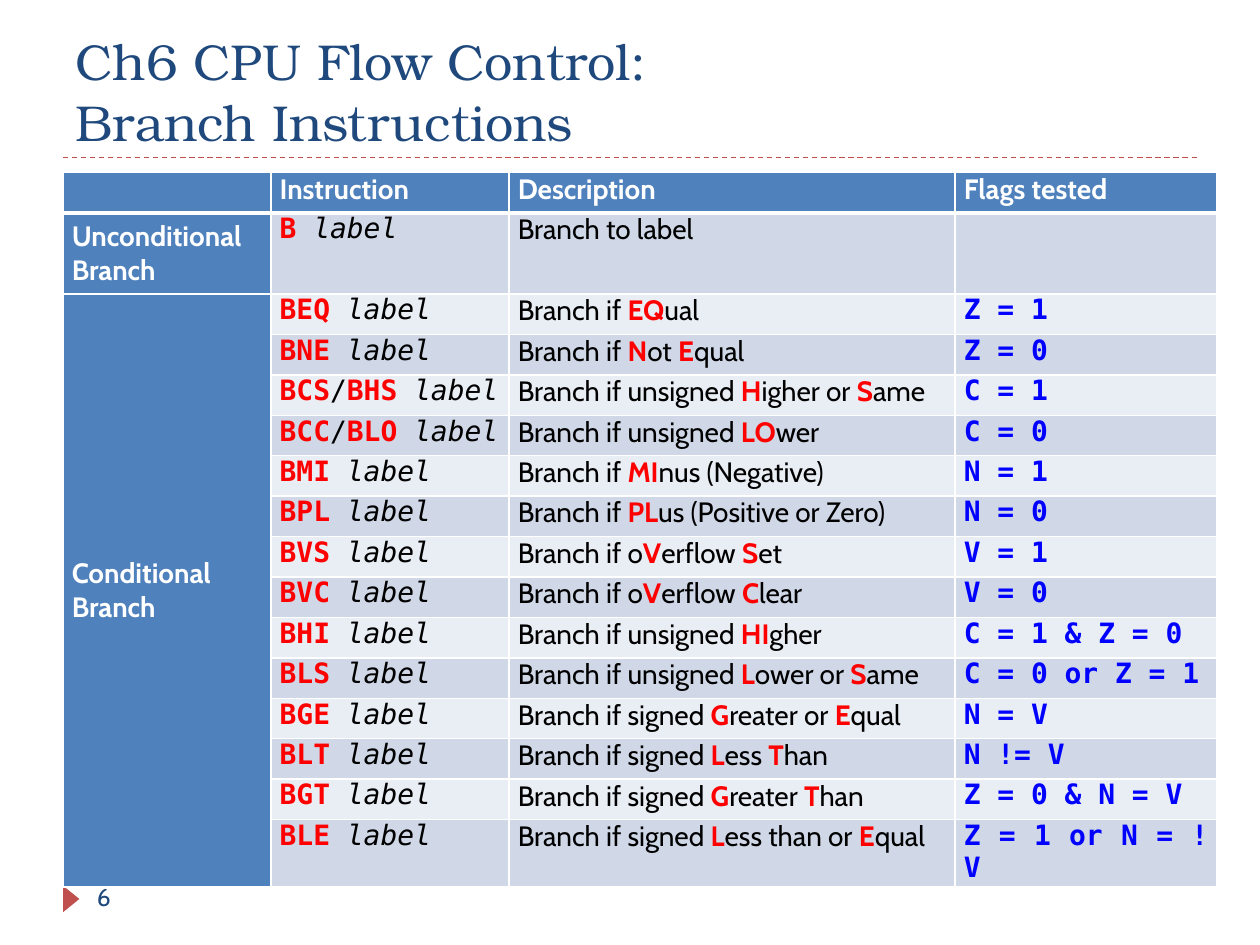
from dataclasses import dataclass

from lxml.etree import SubElement
from pptx import Presentation
from pptx.dml.color import RGBColor
from pptx.enum.dml import MSO_LINE
from pptx.enum.shapes import MSO_CONNECTOR, MSO_SHAPE
from pptx.enum.text import MSO_ANCHOR, MSO_AUTO_SIZE, PP_ALIGN
from pptx.oxml import parse_xml
from pptx.oxml.ns import nsdecls, qn
from pptx.util import Inches, Pt


@dataclass(frozen=True)
class Theme:
    navy: str = "1F497D"
    blue: str = "4F81BD"
    brick: str = "C0504D"
    white: str = "FFFFFF"
    black: str = "000000"
    red: str = "FF0000"
    flag_blue: str = "0000FF"
    bands: tuple = ("D0D8E8", "E9EDF4")
    title_font: str = "TeX Gyre Bonum"
    body_font: str = "Cabin"
    code_font: str = "DejaVu Sans Mono"
    title_size: float = 28.8
    body_size: float = 16
    number_size: float = 14


THEME = Theme()
SLIDE_WIDTH, SLIDE_HEIGHT = 10, 7.5
MARGIN = SLIDE_WIDTH / 20
CONTENT_WIDTH = SLIDE_WIDTH - 2 * MARGIN
FOOTER_TOP = 6.95

HEADINGS = ("", "Instruction", "Description", "Flags tested")
COLUMN_WIDTHS = (1.65, 1.89, 3.54, 2.08)
ROW_UNITS = (1, 2) + (1,) * 14

# Mnemonics, description with *accented* letters, flags tested
BRANCHES = (
    ("B", "Branch to label", ""),
    ("BEQ", "Branch if *EQ*ual", "Z = 1"),
    ("BNE", "Branch if *N*ot *E*qual", "Z = 0"),
    ("BCS/BHS", "Branch if unsigned *H*igher or *S*ame", "C = 1"),
    ("BCC/BLO", "Branch if unsigned *LO*wer", "C = 0"),
    ("BMI", "Branch if *MI*nus (Negative)", "N = 1"),
    ("BPL", "Branch if *PL*us (Positive or Zero)", "N = 0"),
    ("BVS", "Branch if o*V*erflow *S*et", "V = 1"),
    ("BVC", "Branch if o*V*erflow *C*lear", "V = 0"),
    ("BHI", "Branch if unsigned *HI*gher", "C = 1 & Z = 0"),
    ("BLS", "Branch if unsigned *L*ower or *S*ame", "C = 0 or Z = 1"),
    ("BGE", "Branch if signed *G*reater or *E*qual", "N = V"),
    ("BLT", "Branch if signed *L*ess *T*han", "N != V"),
    ("BGT", "Branch if signed *G*reater *T*han", "Z = 0 & N = V"),
    ("BLE", "Branch if signed *L*ess than or *E*qual", "Z = 1 or N = !V"),
)


def write(paragraph, text, *, font=THEME.body_font, size=THEME.body_size,
          color=THEME.black, bold=False, italic=False):
    """Append formatted text, turning each newline into a line break."""
    for index, line in enumerate(text.split("\n")):
        if index:
            paragraph.add_line_break()
        run = paragraph.add_run()
        run.text = line
        run.font.name = font
        run.font.size = Pt(size)
        run.font.bold = bold
        run.font.italic = italic
        run.font.color.rgb = RGBColor.from_string(color)


def place(shape, box):
    shape.left, shape.top, shape.width, shape.height = map(Inches, box)


def add_title(slide, box, text):
    title = slide.shapes.title
    place(title, box)
    frame = title.text_frame
    frame.word_wrap = True
    frame.auto_size = MSO_AUTO_SIZE.NONE
    frame.vertical_anchor = MSO_ANCHOR.BOTTOM
    frame.paragraphs[0].alignment = PP_ALIGN.LEFT
    write(frame.paragraphs[0], text, font=THEME.title_font,
          size=THEME.title_size, color=THEME.navy)


def add_rule(slide, left, top, width):
    rule = slide.shapes.add_connector(
        MSO_CONNECTOR.STRAIGHT, *map(Inches, (left, top, left + width, top)))
    rule.line.color.rgb = RGBColor.from_string(THEME.brick)
    rule.line.width = Pt(0.75)
    rule.line.dash_style = MSO_LINE.DASH
    SubElement(rule.element.spPr, qn("a:effectLst"))


def add_footer(slide, box, number):
    left, top, width, height = box
    # Marker pointing at the slide number
    marker = slide.shapes.add_shape(
        MSO_SHAPE.ISOSCELES_TRIANGLE,
        *map(Inches, (left - 0.04, top + 0.12, 0.21, 0.13)))
    marker.rotation = 90
    marker.shadow.inherit = False
    marker.fill.solid()
    marker.fill.fore_color.rgb = RGBColor.from_string(THEME.brick)
    marker.line.fill.background()
    # Slide number
    label = slide.shapes.add_textbox(
        *map(Inches, (left + 0.17, top, width - 0.17, height)))
    label.text_frame.word_wrap = True
    write(label.text_frame.paragraphs[0], number,
          size=THEME.number_size, color=THEME.navy)


def style_cell(cell, fill, *, top=1, bottom=1):
    cell.margin_left = cell.margin_right = Inches(0.07)
    cell.margin_top = cell.margin_bottom = 0
    cell.fill.solid()
    cell.fill.fore_color.rgb = RGBColor.from_string(fill)
    borders = (("lnL", 1), ("lnR", 1), ("lnT", top), ("lnB", bottom))
    for index, (side, points) in enumerate(borders):
        border = parse_xml(
            f'<a:{side} {nsdecls("a")} w="{Pt(points)}"><a:solidFill>'
            f'<a:srgbClr val="{THEME.white}"/></a:solidFill></a:{side}>')
        cell._tc.get_or_add_tcPr().insert(index, border)
    paragraph = cell.text_frame.paragraphs[0]
    paragraph.alignment = PP_ALIGN.JUSTIFY
    paragraph.font.size = Pt(THEME.body_size)
    return paragraph


def write_instruction(paragraph, mnemonics):
    code = {"font": THEME.code_font}
    for index, mnemonic in enumerate(mnemonics.split("/")):
        if index:
            write(paragraph, "/", **code)
        write(paragraph, mnemonic, color=THEME.red, bold=True, **code)
    write(paragraph, " label", italic=True, **code)


def write_description(paragraph, marked_text):
    for index, part in enumerate(marked_text.split("*")):
        accented = index % 2 == 1
        if part:
            write(paragraph, part, bold=accented,
                  color=THEME.red if accented else THEME.black)


def add_branch_table(slide, box):
    frame = slide.shapes.add_table(
        len(ROW_UNITS), len(COLUMN_WIDTHS), *map(Inches, box))
    table = frame.table
    table.horz_banding = False
    for column, width in zip(table.columns, COLUMN_WIDTHS):
        column.width = Inches(width)
    for row, units in zip(table.rows, ROW_UNITS):
        row.height = Inches(box[3] * units / sum(ROW_UNITS))

    # Heading row
    heading = {"color": THEME.white, "bold": True}
    for column, text in enumerate(HEADINGS):
        paragraph = style_cell(table.cell(0, column), THEME.blue, bottom=3)
        if text:
            write(paragraph, text, **heading)

    # Branch rows
    for row, (mnemonics, description, flags) in enumerate(BRANCHES, 1):
        band = THEME.bands[(row - 1) % 2]
        fills = (THEME.blue, band, band, band)
        _, instruction, meaning, tested = [
            style_cell(table.cell(row, column), fill, top=3 if row == 1 else 1)
            for column, fill in enumerate(fills)]
        write_instruction(instruction, mnemonics)
        write_description(meaning, description)
        if flags:
            write(tested, flags, font=THEME.code_font,
                  color=THEME.flag_blue, bold=True)

    # Group names in the first column
    table.cell(2, 0).merge(table.cell(len(BRANCHES), 0))
    for row, text in ((1, "Unconditional Branch"), (2, "Conditional Branch")):
        cell = table.cell(row, 0)
        cell.vertical_anchor = MSO_ANCHOR.MIDDLE
        write(cell.text_frame.paragraphs[0], text, **heading)


def main():
    presentation = Presentation()
    presentation.slide_width = Inches(SLIDE_WIDTH)
    presentation.slide_height = Inches(SLIDE_HEIGHT)
    slide = presentation.slides.add_slide(presentation.slide_layouts[5])
    for top in (1.25, FOOTER_TOP):
        add_rule(slide, MARGIN, top, CONTENT_WIDTH)
    add_title(slide, (MARGIN, 0.17, CONTENT_WIDTH, 1.08),
              "Ch6 CPU Flow Control:\nBranch Instructions")
    add_footer(slide, (MARGIN, FOOTER_TOP, 2.34, 0.4), "6")
    add_branch_table(slide, (MARGIN, 1.37, sum(COLUMN_WIDTHS), 5.46))
    presentation.save("out.pptx")


if __name__ == "__main__":
    main()
